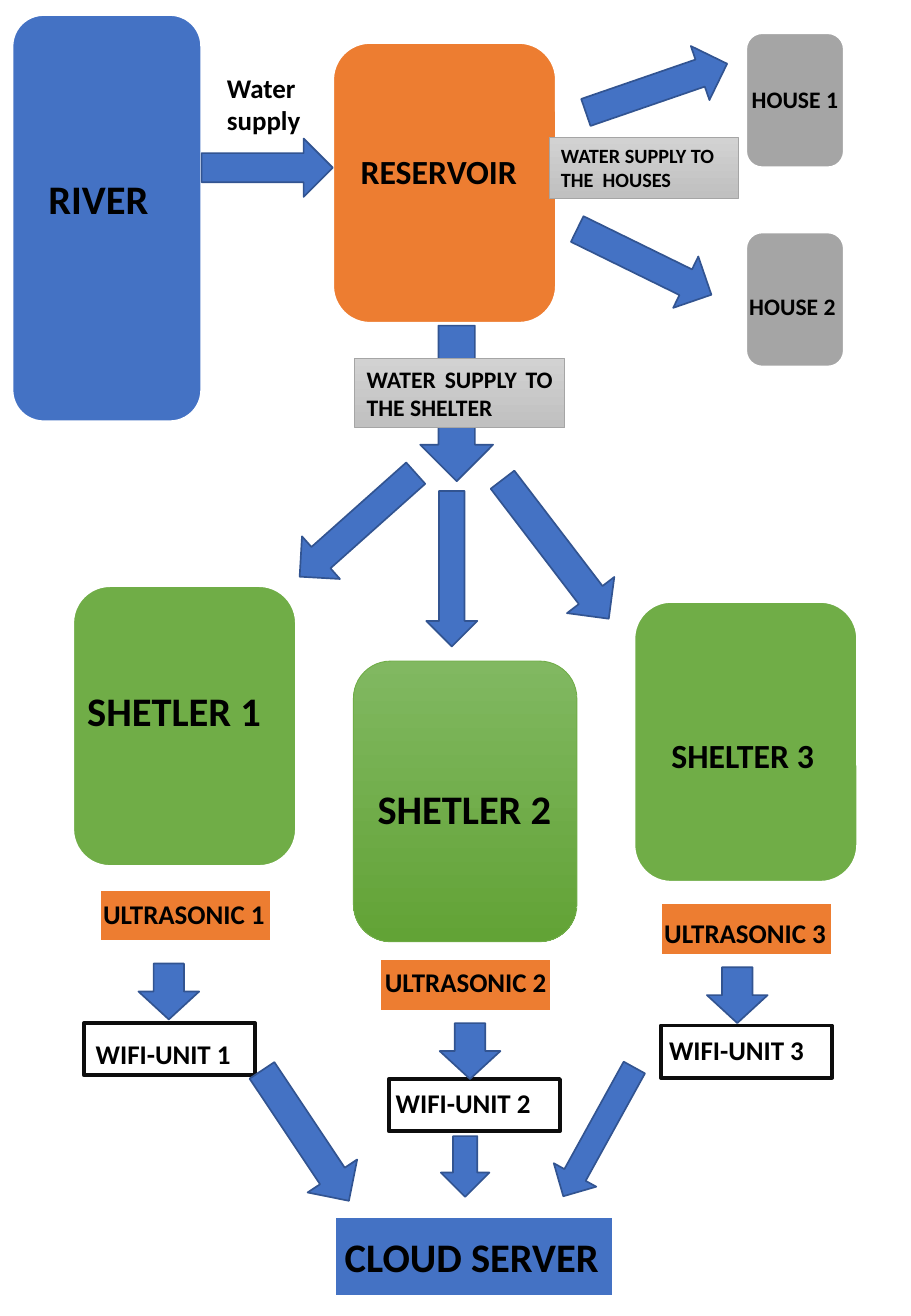
"""Build a one-page flow chart of water supply from river to shelters and cloud server."""
from pptx import Presentation
from pptx import util as u
from pptx.dml.color import RGBColor
from pptx.enum import shapes, text

deck = Presentation()
deck.slide_width, deck.slide_height = u.Inches(7.5), u.Inches(10.83)
page = deck.slides.add_slide(deck.slide_layouts[6])
COLUMN = deck.slide_width / 75
ROW = deck.slide_height / 108.3
KIND = shapes.MSO_SHAPE
BLUE, ORANGE, GREEN, GRAY, WHITE = "4472C4", "ED7D31", "70AD47", "A5A5A5", "FFFFFF"


def draw(kind, left, top, wide, high, fills=(BLUE,), edge=WHITE, weight=1.5, turn=0):
    item = page.shapes.add_shape(kind, int(left * COLUMN), int(top * ROW),
                                 int(wide * COLUMN), int(high * ROW))
    item.shadow.inherit = False
    item.rotation = turn
    if len(fills) > 1:
        item.fill.gradient()
        item.fill.gradient_angle = 270
        for stop, shade in zip(item.fill.gradient_stops, fills):
            stop.color.rgb = RGBColor.from_string(shade)
    else:
        item.fill.solid()
        item.fill.fore_color.rgb = RGBColor.from_string(fills[0])
    item.line.color.rgb = RGBColor.from_string(edge)
    item.line.width = u.Pt(weight)
    return item


def write(frame, words, size, align=text.PP_ALIGN.JUSTIFY):
    frame.word_wrap = True
    frame.auto_size = text.MSO_AUTO_SIZE.SHAPE_TO_FIT_TEXT
    frame.text = words
    for paragraph in frame.paragraphs:
        paragraph.alignment = align
        for run in paragraph.runs:
            run.font.name, run.font.size, run.font.bold = "Calibri", u.Pt(size), True
            run.font.color.rgb = RGBColor.from_string("000000")


draw(KIND.ROUNDED_RECTANGLE, 27.4, 3.5, 18.4, 23.1, (ORANGE,))
draw(KIND.ROUNDED_RECTANGLE, 1, 1.2, 15.6, 33.5)
draw(KIND.RECTANGLE, 27.6, 100.1, 22.9, 6.6)
for house_top in (2.7, 19.1):
    draw(KIND.ROUNDED_RECTANGLE, 61.4, house_top, 8.1, 11.1, (GRAY,))

shelter_tops = (48.2, 54.4, 49.5)
shelter_fills = ((GREEN,), ("81B861", "62A336"), (GREEN,))
shelter_edges = ((WHITE, 1.5), (GREEN, 0.5), (WHITE, 1.5))
sensor_tops = (73.2, 78.9, 74.3)
nodes = ((6.9, 84.2), (32, 88.8), (54.4, 84.4))
for i in range(3):
    shift = 23.1 * i
    draw(KIND.ROUNDED_RECTANGLE, 6 + shift, shelter_tops[i], 18.4, 23.1,
         shelter_fills[i], *shelter_edges[i])
    draw(KIND.RECTANGLE, 8.2 + shift, sensor_tops[i], 14.1, 4.3, (ORANGE,))
    draw(KIND.RECTANGLE, *nodes[i], 14.1, 4.3, (WHITE,), "0D0D0D", 2.25)

draw(KIND.RIGHT_ARROW, 16.6, 11.4, 10.8, 4.8, edge="325491", weight=1)
flows = (
    (34.6, 26.8, 6, 12.8, 0),
    (51.7, 1.1, 4.7, 12.3, 251),
    (50.7, 15.4, 4.7, 12.3, 296.1),
    (27.1, 36.8, 4.7, 12.8, 48.3),
    (35.1, 40.4, 4.2, 12.8, 0),
    (43.3, 38, 4.9, 14.4, 322.6),
    (11.4, 79.3, 5, 4.6, 0),
    (36.2, 84.2, 5, 4.6, 0),
    (58.2, 79.6, 5, 4.6, 0),
    (22.7, 87, 4.9, 12.9, 326.3),
    (36.3, 93.5, 4, 5, 0),
    (47.3, 87.1, 4, 12.1, 28.9),
)
for left, top, wide, high, turn in flows:
    draw(KIND.DOWN_ARROW, left, top, wide, high, edge="325491", weight=1, turn=turn)

supplies = (
    ("WATER SUPPLY TO THE  HOUSES", 12, text.PP_ALIGN.LEFT, 45.2, 11.3, 15.6, 5),
    ("WATER SUPPLY TO THE SHELTER ", 14, text.PP_ALIGN.JUSTIFY, 29.2, 29.5, 17.3, 5.7),
)
for words, size, align, *place in supplies:
    supply = draw(KIND.RECTANGLE, *place, ("D2D2D2", "C0C0C0"), GRAY, 0.5)
    write(supply.text_frame, words, size, align)

labels = (
    ("RIVER", 24, 3, 13.8, 12.7, 5),
    ("Water \nsupply", 16, 17.7, 5.4, 10.8, 6.4),
    ("RESERVOIR", 20, 28.7, 11.9, 17.3, 4.4),
    ("HOUSE 1", 14, 60.9, 6.5, 14, 3.4),
    ("HOUSE 2", 14, 60.7, 23.5, 14, 3.4),
    ("SHETLER 1", 24, 6.2, 56, 17, 5),
    ("SHETLER 2", 24, 30.1, 64, 16.4, 5),
    ("SHELTER 3", 20, 54.3, 60, 14.7, 4.4),
    ("ULTRASONIC 1", 16, 7.5, 73.4, 15.7, 3.7),
    ("ULTRASONIC 2", 16, 30.7, 79, 15.8, 3.7),
    ("ULTRASONIC 3", 16, 53.7, 74.9, 16.2, 3.7),
    ("WIFI-UNIT 1", 16, 6.9, 84.9, 15.7, 3.7),
    ("WIFI-UNIT 2", 16, 31.6, 88.9, 15.7, 3.7),
    ("WIFI-UNIT 3", 16, 54.1, 84.6, 15.7, 3.7),
    ("CLOUD SERVER", 24, 27.4, 100.9, 25.6, 5),
)
for words, size, left, top, wide, high in labels:
    label = page.shapes.add_textbox(int(left * COLUMN), int(top * ROW),
                                    int(wide * COLUMN), int(high * ROW))
    write(label.text_frame, words, size)

deck.save("out.pptx")
